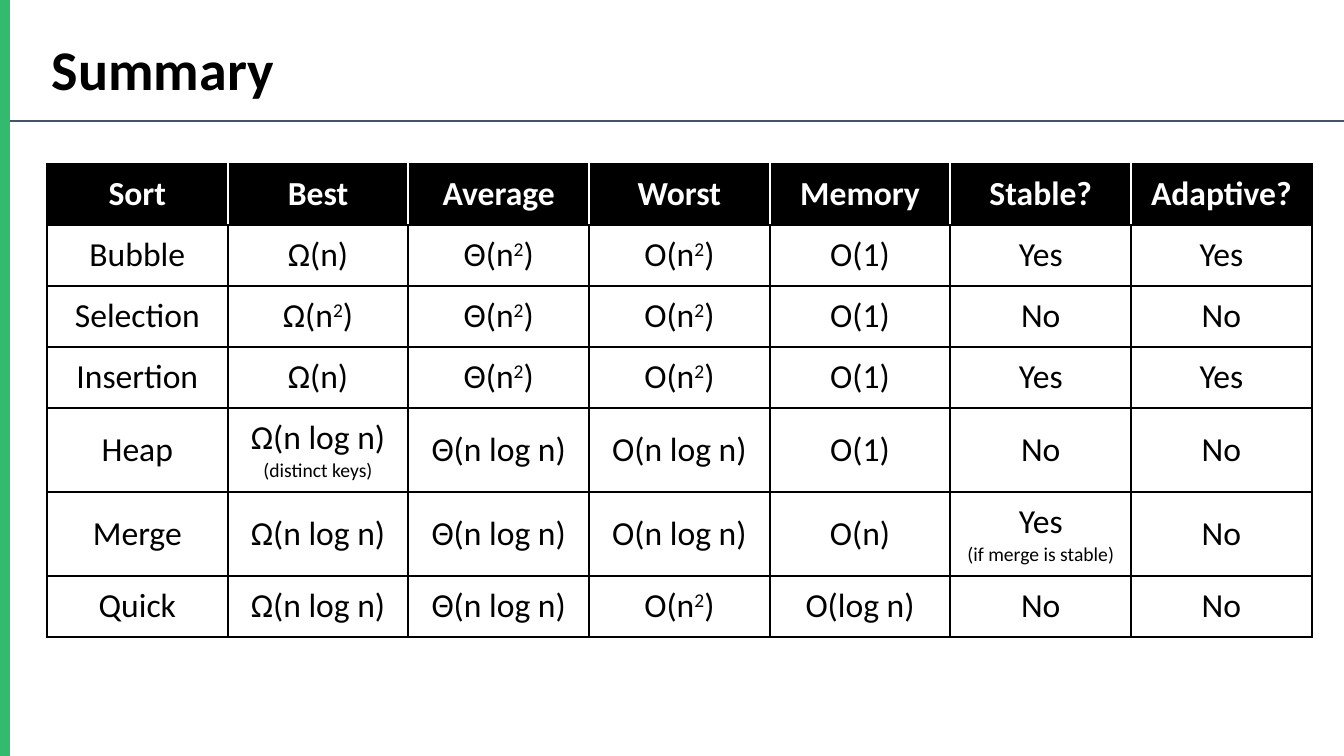
import pptx
import pptx.dml.color
import pptx.enum.shapes
import pptx.enum.text
import pptx.oxml.ns
import pptx.util
from lxml import etree

EMU_PER_PX = 914400 / 100.8
FONT = "Calibri"
BLACK, WHITE, GREEN, SLATE = "000000", "FFFFFF", "32BA6E", "44546A"
INSET = 10
BODY_SIZE, NOTE_SIZE = 24, 14

HEADINGS = ["Sort", "Best", "Average", "Worst", "Memory", "Stable?", "Adaptive?"]
# "^2" marks a superscript; a second line in a cell is a small note
SORTS = [
    ["Bubble", "Ω(n)", "Θ(n^2)", "O(n^2)", "O(1)", "Yes", "Yes"],
    ["Selection", "Ω(n^2)", "Θ(n^2)", "O(n^2)", "O(1)", "No", "No"],
    ["Insertion", "Ω(n)", "Θ(n^2)", "O(n^2)", "O(1)", "Yes", "Yes"],
    ["Heap", "Ω(n log n)\n(distinct keys)", "Θ(n log n)", "O(n log n)", "O(1)", "No", "No"],
    ["Merge", "Ω(n log n)", "Θ(n log n)", "O(n log n)", "O(n)",
     "Yes\n(if merge is stable)", "No"],
    ["Quick", "Ω(n log n)", "Θ(n log n)", "O(n^2)", "O(log n)", "No", "No"],
]


def px(length):
    return pptx.util.Emu(round(length * EMU_PER_PX))


def rgb(color):
    return pptx.dml.color.RGBColor.from_string(color)


def set_insets(frame):
    frame.margin_left = frame.margin_right = px(INSET)
    frame.margin_top = frame.margin_bottom = px(INSET)


def add_run(paragraph, text, size, color, bold=False, superscript=False):
    run = paragraph.add_run()
    run.text = text
    run.font.name = FONT
    run.font.size = pptx.util.Pt(size)
    run.font.bold = bold
    run.font.color.rgb = rgb(color)
    if superscript:
        run._r.get_or_add_rPr().set("baseline", "30000")


def add_rule(slide, left, right, y):
    rule = slide.shapes.add_connector(
        pptx.enum.shapes.MSO_CONNECTOR.STRAIGHT, px(left), px(y), px(right), px(y))
    rule.line.color.rgb = rgb(SLATE)
    rule.line.width = pptx.util.Pt(0.75)
    etree.SubElement(rule._element.spPr, pptx.oxml.ns.qn("a:effectLst"))


def add_bar(slide, left, top, width, height):
    bar = slide.shapes.add_shape(
        pptx.enum.shapes.MSO_SHAPE.RECTANGLE, px(left), px(top), px(width), px(height))
    bar.shadow.inherit = False
    bar.fill.solid()
    bar.fill.fore_color.rgb = rgb(GREEN)
    bar.line.fill.background()


def add_title(slide, text, left, top, width, height):
    box = slide.shapes.add_textbox(px(left), px(top), px(width), px(height))
    box.text_frame.word_wrap = True
    set_insets(box.text_frame)
    add_run(box.text_frame.paragraphs[0], text, 40, BLACK, bold=True)


def add_border(cell, side, color):
    properties = cell._tc.get_or_add_tcPr()
    line = etree.SubElement(properties, pptx.oxml.ns.qn(f"a:ln{side}"),
                            w=str(pptx.util.Pt(1.5)))
    fill = etree.SubElement(line, pptx.oxml.ns.qn("a:solidFill"))
    etree.SubElement(fill, pptx.oxml.ns.qn("a:srgbClr"), val=color)


def fill_cell(cell, text, is_heading, borders):
    for side, color in borders.items():
        add_border(cell, side, color)
    if is_heading:
        cell.fill.solid()
        cell.fill.fore_color.rgb = rgb(BLACK)
    else:
        cell.fill.background()
    set_insets(cell)
    cell.vertical_anchor = pptx.enum.text.MSO_ANCHOR.MIDDLE
    color = WHITE if is_heading else BLACK
    for index, line in enumerate(text.split("\n")):
        frame = cell.text_frame
        paragraph = frame.add_paragraph() if index else frame.paragraphs[0]
        paragraph.alignment = pptx.enum.text.PP_ALIGN.CENTER
        size = NOTE_SIZE if index else BODY_SIZE
        base, caret, rest = line.partition("^")
        add_run(paragraph, base, size, color, is_heading)
        if caret:
            add_run(paragraph, rest[0], size, color, superscript=True)
            add_run(paragraph, rest[1:], size, color)


def add_sort_table(slide, left, top, width, row_height):
    rows = [HEADINGS] + SORTS
    last = len(HEADINGS) - 1
    table = slide.shapes.add_table(
        len(rows), len(HEADINGS), px(left), px(top), px(width),
        px(row_height * len(rows))).table
    table.horz_banding = False
    for row in table.rows:
        row.height = px(row_height)
    for column in table.columns:
        column.width = px(width / len(HEADINGS))
    for row_index, texts in enumerate(rows):
        is_heading = row_index == 0
        inner = WHITE if is_heading else BLACK
        for column_index, text in enumerate(texts):
            borders = {
                "L": inner if column_index > 0 else BLACK,
                "R": inner if column_index < last else BLACK,
                "T": BLACK,
                "B": BLACK,
            }
            fill_cell(table.cell(row_index, column_index), text, is_heading, borders)


def main():
    presentation = pptx.Presentation()
    presentation.slide_width = px(1344)
    presentation.slide_height = px(756)
    slide = presentation.slides.add_slide(presentation.slide_layouts[6])

    # Frame of the slide
    add_rule(slide, 10, 1344, 121)
    add_bar(slide, 0, -2, 10, 758)

    # Title and comparison of the sorts
    add_title(slide, "Summary", 42, 25, 1249, 122)
    add_sort_table(slide, 47, 164, 1265, 61)

    presentation.save("out.pptx")


if __name__ == "__main__":
    main()
